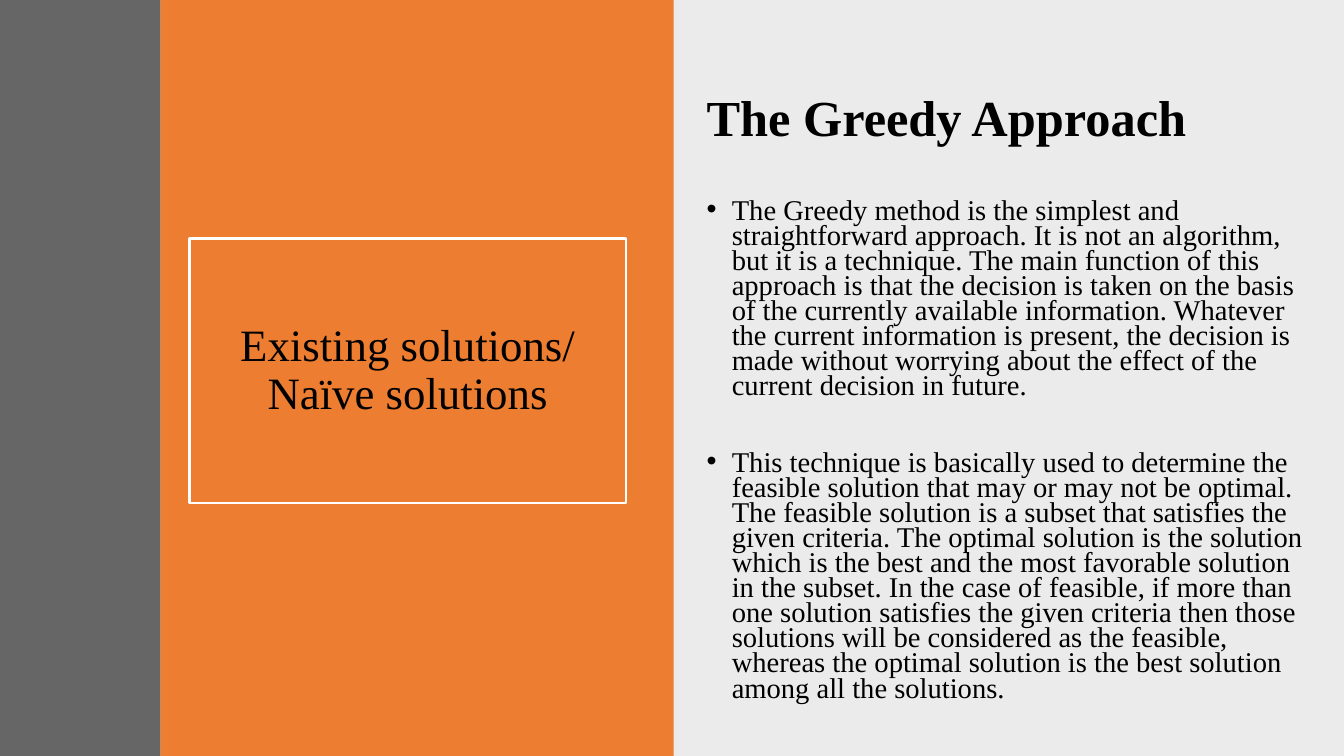
"""Build the slide on the greedy approach as an existing solution."""
from lxml.etree import SubElement
from pptx import Presentation
from pptx.dml.color import RGBColor
from pptx.enum.shapes import MSO_SHAPE
from pptx.enum.text import MSO_ANCHOR, MSO_AUTO_SIZE, PP_ALIGN
from pptx.oxml.ns import qn
from pptx.util import Inches, Pt

FONT = "Times New Roman"
COLORS = {"text": "000000", "shade": "000000", "accent": "ED7D31",
          "band": "404040", "frame": "FFFFFF"}
TITLE = "Existing solutions/ Naïve solutions"
HEADING = "The Greedy Approach"
POINTS = [
    "The Greedy method is the simplest and straightforward approach. It is not an "
    "algorithm, but it is a technique. The main function of this approach is that the "
    "decision is taken on the basis of the currently available information. Whatever the "
    "current information is present, the decision is made without worrying about the "
    "effect of the current decision in future.",
    "This technique is basically used to determine the feasible solution that may or may "
    "not be optimal. The feasible solution is a subset that satisfies the given criteria. "
    "The optimal solution is the solution which is the best and the most favorable "
    "solution in the subset. In the case of feasible, if more than one solution satisfies "
    "the given criteria then those solutions will be considered as the feasible, whereas "
    "the optimal solution is the best solution among all the solutions.",
]


def color(name):
    return RGBColor.from_string(COLORS[name])


def add_panel(s, left, width, fill, opacity=100):
    sp = s.shapes.add_shape(MSO_SHAPE.RECTANGLE, Inches(left), 0,
                            Inches(width), Inches(7.5))
    sp.shadow.inherit = False
    sp.line.fill.background()
    sp.fill.solid()
    sp.fill.fore_color.rgb = color(fill)
    if opacity < 100:
        rgb = sp.fill._xPr.find(".//" + qn("a:srgbClr"))
        SubElement(rgb, qn("a:alpha"), val=str(opacity * 1000))


def write(p, text, size, bold=False, **paragraph_format):
    for name, value in paragraph_format.items():
        setattr(p, name, value)
    r = p.add_run()
    r.text = text
    for name, value in {"name": FONT, "size": Pt(size), "bold": bold}.items():
        setattr(r.font, name, value)
    r.font.color.rgb = color("text")


def add_bullet(p):
    pPr = p._p.get_or_add_pPr()
    pPr.set("marL", str(Inches(0.25)))
    pPr.set("indent", str(Inches(-0.25)))
    SubElement(pPr, qn("a:buFont"), typeface="Arial")
    SubElement(pPr, qn("a:buChar"), char="•")


def add_text_box(s, left, top, width, height):
    box = s.shapes.add_textbox(Inches(left), Inches(top), Inches(width), Inches(height))
    tf = box.text_frame
    tf.word_wrap = True
    return tf


def place_title(s):
    title = s.shapes.title
    place = {"left": 1.88, "top": 2.37, "width": 4.33, "height": 2.62}
    for name, value in place.items():
        setattr(title, name, Inches(value))
    title.line.color.rgb = color("frame")
    title.line.width = Pt(2)
    tf = title.text_frame
    frame_format = {"word_wrap": True, "auto_size": MSO_AUTO_SIZE.NONE,
                    "vertical_anchor": MSO_ANCHOR.MIDDLE}
    for name, value in frame_format.items():
        setattr(tf, name, value)
    write(tf.paragraphs[0], TITLE, 32, alignment=PP_ALIGN.CENTER, line_spacing=0.9)
    title.element.getparent().append(title.element)


def add_points(s):
    tf = add_text_box(s, 6.91, 1.94, 6.23, 4.96)
    for i, point in enumerate(POINTS):
        p = tf.add_paragraph() if i else tf.paragraphs[0]
        write(p, point, 20.4, line_spacing=0.73, space_before=Pt(37 if i else 10))
        add_bullet(p)


def main():
    prs = Presentation()
    prs.slide_width, prs.slide_height = Inches(13.33), Inches(7.5)
    s = prs.slides.add_slide(prs.slide_layouts[5])
    add_panel(s, 6.67, 6.66, "shade", 8)
    add_panel(s, 1.59, 5.09, "accent")
    add_panel(s, 0, 1.59, "band", 80)
    place_title(s)
    add_points(s)
    tf = add_text_box(s, 6.91, 0.92, 5.53, 0.62)
    write(tf.paragraphs[0], HEADING, 36, True, line_spacing=0.8, space_after=Pt(6))
    prs.save("out.pptx")


if __name__ == "__main__":
    main()
